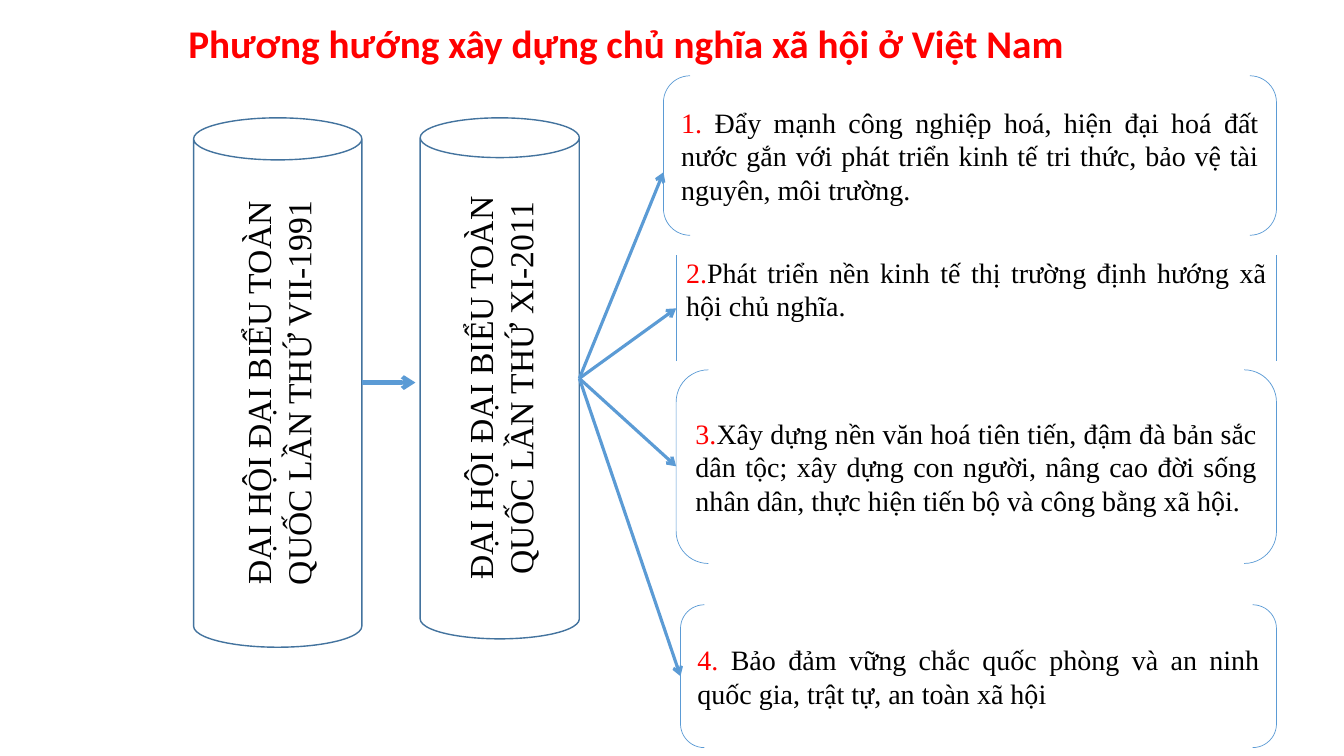
from lxml.etree import SubElement
from pptx import Presentation
from pptx.dml.color import RGBColor
from pptx.enum.shapes import MSO_CONNECTOR, MSO_SHAPE
from pptx.enum.text import MSO_ANCHOR, PP_ALIGN
from pptx.oxml.ns import qn
from pptx.util import Cm, Pt

COLORS = {"red": "FF0000", "black": "000000", "can": "43739E", "blue": "5B9BD5"}
SERIF = "Times New Roman"
RIGHT = 32.17  # shared right edge of the direction boxes

CONGRESSES = [
    ("ĐẠI HỘI ĐẠI BIỂU TOÀN QUỐC LẦN THỨ VII-1991", (4.88, 2.97, 4.24, 13.34)),
    ("ĐẠI HỘI ĐẠI BIỂU TOÀN QUỐC LẦN THỨ XI-2011", (10.59, 2.97, 4.01, 13.13)),
]
# number, text, left, top, height, height at which the arrow arrives
DIRECTIONS = [
    ("1. ", "Đẩy mạnh công nghiệp hoá, hiện đại hoá đất nước gắn với phát triển "
     "kinh tế tri thức, bảo vệ tài nguyên, môi trường.", 16.72, 1.91, 4.02, 4.34),
    ("2.", "Phát triển nền kinh tế thị trường định hướng xã hội chủ nghĩa.",
     17.04, 6.43, 2.67, 7.77),
    ("3.", "Xây dựng nền văn hoá tiên tiến, đậm đà bản sắc dân tộc; xây dựng con "
     "người, nâng cao đời sống nhân dân, thực hiện tiến bộ và công bằng xã hội.",
     17.04, 9.32, 4.88, 11.75),
    ("4. ", "Bảo đảm vững chắc quốc phòng và an ninh quốc gia, trật tự, an toàn "
     "xã hội", 17.15, 15.24, 3.6, 17.04),
]


def rgb(name):
    return RGBColor.from_string(COLORS[name])


def add_box(slide, kind, box, line=None, width=1):
    """Add an unfilled shape with middle-anchored, wrapping text."""
    sp = slide.shapes.add_shape(kind, *(Cm(v) for v in box))
    sp.shadow.inherit = False
    sp.fill.background()
    if line:
        sp.line.color.rgb = rgb(line)
        sp.line.width = Pt(width)
    else:
        sp.line.fill.background()
    sp.text_frame.word_wrap = True
    sp.text_frame.vertical_anchor = MSO_ANCHOR.MIDDLE
    return sp


def write(sp, runs, font, size, align, bold=False):
    """Fill the first paragraph with (text, colour) runs."""
    p = sp.text_frame.paragraphs[0]
    p.alignment = align
    p.font.name, p.font.size, p.font.bold = font, Pt(size), bold
    for text, color in runs:
        r = p.add_run()
        r.text = text
        r.font.color.rgb = rgb(color)


def add_arrow(slide, start, end, width):
    line = slide.shapes.add_connector(
        MSO_CONNECTOR.STRAIGHT, *(Cm(v) for v in (*start, *end)))
    line.line.color.rgb = rgb("blue")
    line.line.width = Pt(width)
    SubElement(line.line._get_or_add_ln(), qn("a:tailEnd"), type="arrow")
    SubElement(line._element.spPr, qn("a:effectLst"))


def add_title(slide, box):
    sp = add_box(slide, MSO_SHAPE.DOUBLE_BRACKET, box)
    write(sp, [("Phương hướng xây dựng chủ nghĩa xã hội ở Việt Nam", "red")],
          "Calibri", 28, PP_ALIGN.CENTER, bold=True)


def add_congress(slide, text, box):
    sp = add_box(slide, MSO_SHAPE.CAN, box, "can")
    sp.text_frame._txBody.bodyPr.set("vert", "vert270")
    write(sp, [(text, "black")], SERIF, 24, PP_ALIGN.CENTER)


def add_direction(slide, number, text, box):
    sp = add_box(slide, MSO_SHAPE.DOUBLE_BRACKET, box, "blue", 0.5)
    write(sp, [(number, "red"), (text, "black")], SERIF, 20, PP_ALIGN.JUSTIFY)
    return sp


def square_off(sp):
    """Straighten the brackets and start the text at the top edge."""
    sp.adjustments[0] = 0
    sp.text_frame.vertical_anchor = MSO_ANCHOR.TOP
    sp.text_frame.margin_top = 0


def main():
    prs = Presentation()
    prs.slide_width, prs.slide_height = Cm(33.87), Cm(19.05)
    slide = prs.slides.add_slide(prs.slide_layouts[6])

    add_title(slide, (1.27, -0.2, 29, 2.54))
    for text, box in CONGRESSES:
        add_congress(slide, text, box)
    (x1, y1, w1, h1), (x2, y2, w2, h2) = (box for _, box in CONGRESSES)
    middle = y1 + h1 / 2
    add_arrow(slide, (x1 + w1, middle), (x2 - 0.12, middle), 3)

    for number, text, left, top, height, target in DIRECTIONS:
        sp = add_direction(slide, number, text, (left, top, RIGHT - left, height))
        if number == "2.":
            square_off(sp)
        add_arrow(slide, (x2 + w2, y2 + h2 / 2), (left, target), 2.25)
    prs.save("out.pptx")


if __name__ == "__main__":
    main()
